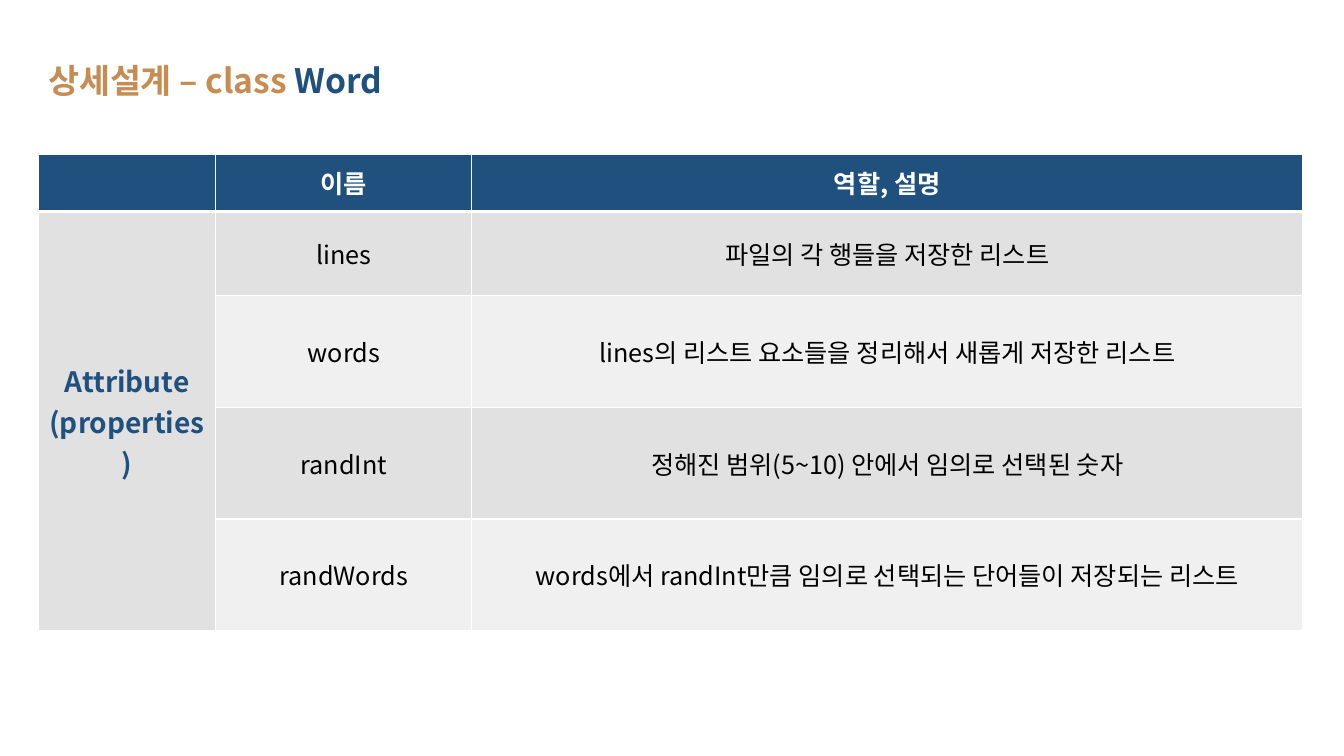
from lxml import etree
from pptx import Presentation
from pptx.dml.color import RGBColor
from pptx.enum import text as text_enum
from pptx.oxml import ns
from pptx.util import Inches, Pt

NAVY = RGBColor(0x20, 0x51, 0x7E)
BRONZE = RGBColor(0xC6, 0x8C, 0x52)
WHITE = RGBColor(0xFF, 0xFF, 0xFF)
BLACK = RGBColor(0, 0, 0)
BANDS = (RGBColor(0xE1, 0xE1, 0xE1), RGBColor(0xF0, 0xF0, 0xF0))
FONT = "Noto Sans CJK KR"

HEADINGS = ("", "이름", "역할, 설명")
ATTRIBUTES = (
    ("lines", "파일의 각 행들을 저장한 리스트"),
    ("words", "lines의 리스트 요소들을 정리해서 새롭게 저장한 리스트"),
    ("randInt", "정해진 범위(5~10) 안에서 임의로 선택된 숫자"),
    ("randWords", "words에서 randInt만큼 임의로 선택되는 단어들이 저장되는 리스트"),
)
COLUMN_WIDTHS = (1.76, 2.54, 8.24)
ROW_HEIGHTS = (0.57, 0.83, 1.11, 1.11, 1.11)


def add_run(paragraph, words, size, color, bold):
    run = paragraph.add_run()
    run.text = words
    for name, value in {"name": FONT, "size": Pt(size), "bold": bold}.items():
        setattr(run.font, name, value)
    run.font.color.rgb = color
    # Hangul takes its font from the East Asian slot
    etree.SubElement(run.font._element, ns.qn("a:ea"), typeface=FONT)


def set_borders(cell, widths):
    properties = cell._tc.get_or_add_tcPr()
    for position, (side, width) in enumerate(widths.items()):
        line = etree.Element(ns.qn(f"a:ln{side}"), w=str(Pt(width)))
        fill = etree.SubElement(line, ns.qn("a:solidFill"))
        etree.SubElement(fill, ns.qn("a:srgbClr"), val=str(WHITE))
        properties.insert(position, line)


def fill_cell(cell, lines, background, size=18, color=BLACK, bold=False):
    cell.fill.solid()
    cell.fill.fore_color.rgb = background
    cell.vertical_anchor = text_enum.MSO_ANCHOR.MIDDLE
    frame = cell.text_frame
    for index, words in enumerate(lines):
        paragraph = frame.add_paragraph() if index else frame.paragraphs[0]
        paragraph.alignment = text_enum.PP_ALIGN.CENTER
        if words:
            add_run(paragraph, words, size, color, bold)


def add_title(slide, left, top, width, height):
    frame = slide.shapes.add_textbox(
        Inches(left), Inches(top), Inches(width), Inches(height)).text_frame
    frame.word_wrap = False
    frame.auto_size = text_enum.MSO_AUTO_SIZE.SHAPE_TO_FIT_TEXT
    for words, color in (("상세설계 – class ", BRONZE), ("Word", NAVY)):
        add_run(frame.paragraphs[0], words, 24, color, True)


def add_attribute_table(slide, left, top, width, height):
    table = slide.shapes.add_table(
        len(ROW_HEIGHTS), len(COLUMN_WIDTHS),
        Inches(left), Inches(top), Inches(width), Inches(height)).table
    for column, column_width in zip(table.columns, COLUMN_WIDTHS):
        column.width = Inches(column_width)
    for row, row_height in zip(table.rows, ROW_HEIGHTS):
        row.height = Inches(row_height)

    # Header row
    for column, heading in enumerate(HEADINGS):
        fill_cell(table.cell(0, column), [heading], NAVY, color=WHITE, bold=True)

    # Group label spanning all attributes
    group = table.cell(1, 0)
    group.merge(table.cell(len(ATTRIBUTES), 0))
    fill_cell(group, ["Attribute", "(properties)"], BANDS[0], 20, NAVY, True)

    # Attribute rows in alternating bands
    for row, entry in enumerate(ATTRIBUTES, start=1):
        for column, words in enumerate(entry, start=1):
            fill_cell(table.cell(row, column), [words], BANDS[(row - 1) % 2])

    # White grid, heavier under the header
    for row in range(len(ROW_HEIGHTS)):
        for column in range(len(COLUMN_WIDTHS)):
            set_borders(table.cell(row, column), {
                "L": 1, "R": 1,
                "T": 3 if row == 1 else 1, "B": 3 if row == 0 else 1})


def main():
    deck = Presentation()
    deck.slide_width, deck.slide_height = Inches(13.33), Inches(7.5)
    slide = deck.slides.add_slide(deck.slide_layouts[6])
    add_title(slide, 0.38, 0.55, 3.71, 0.5)
    add_attribute_table(slide, 0.38, 1.53, sum(COLUMN_WIDTHS), sum(ROW_HEIGHTS))
    deck.save("out.pptx")


if __name__ == "__main__":
    main()
